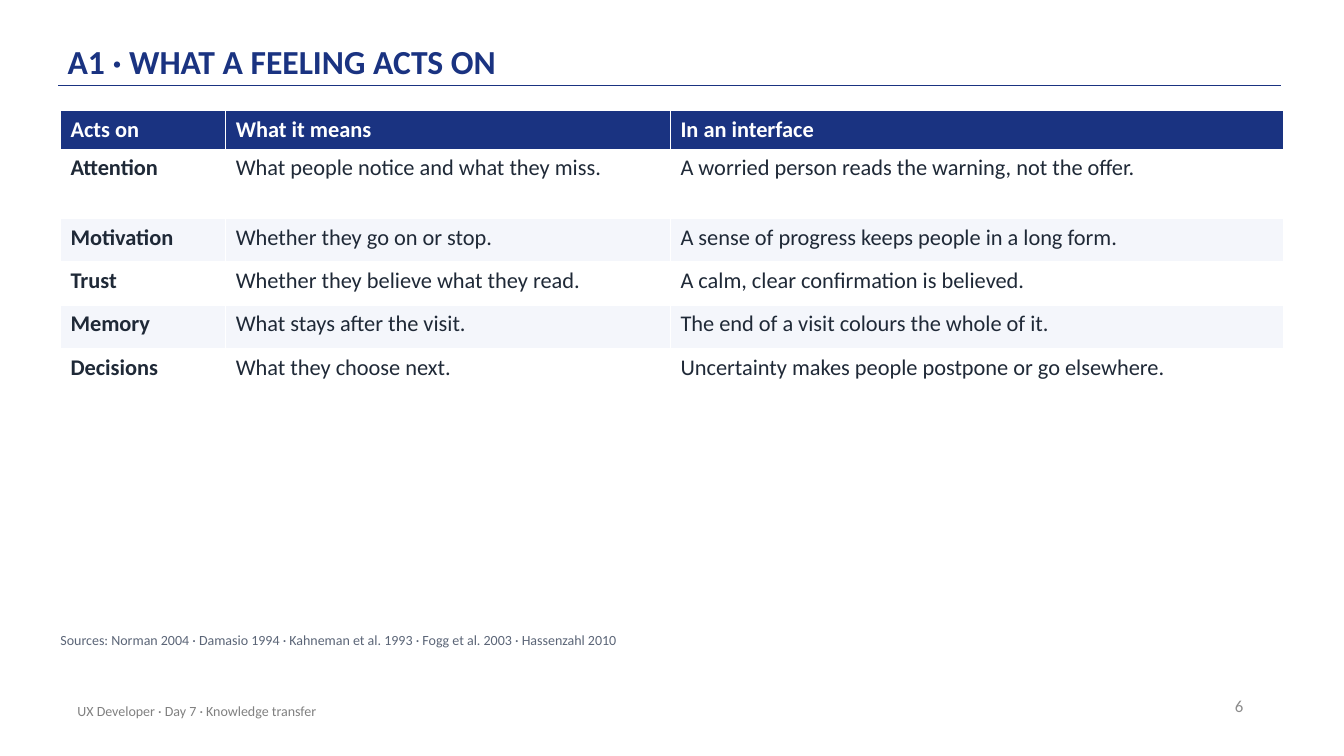
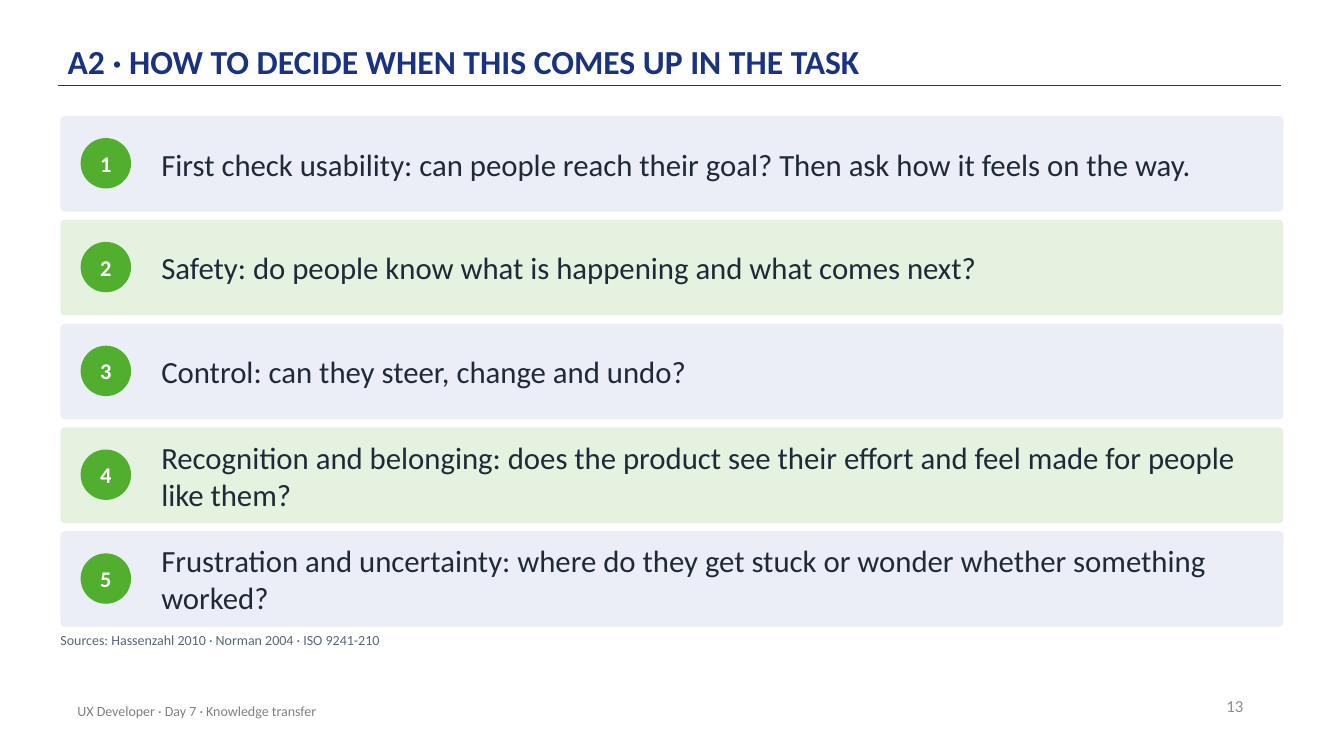
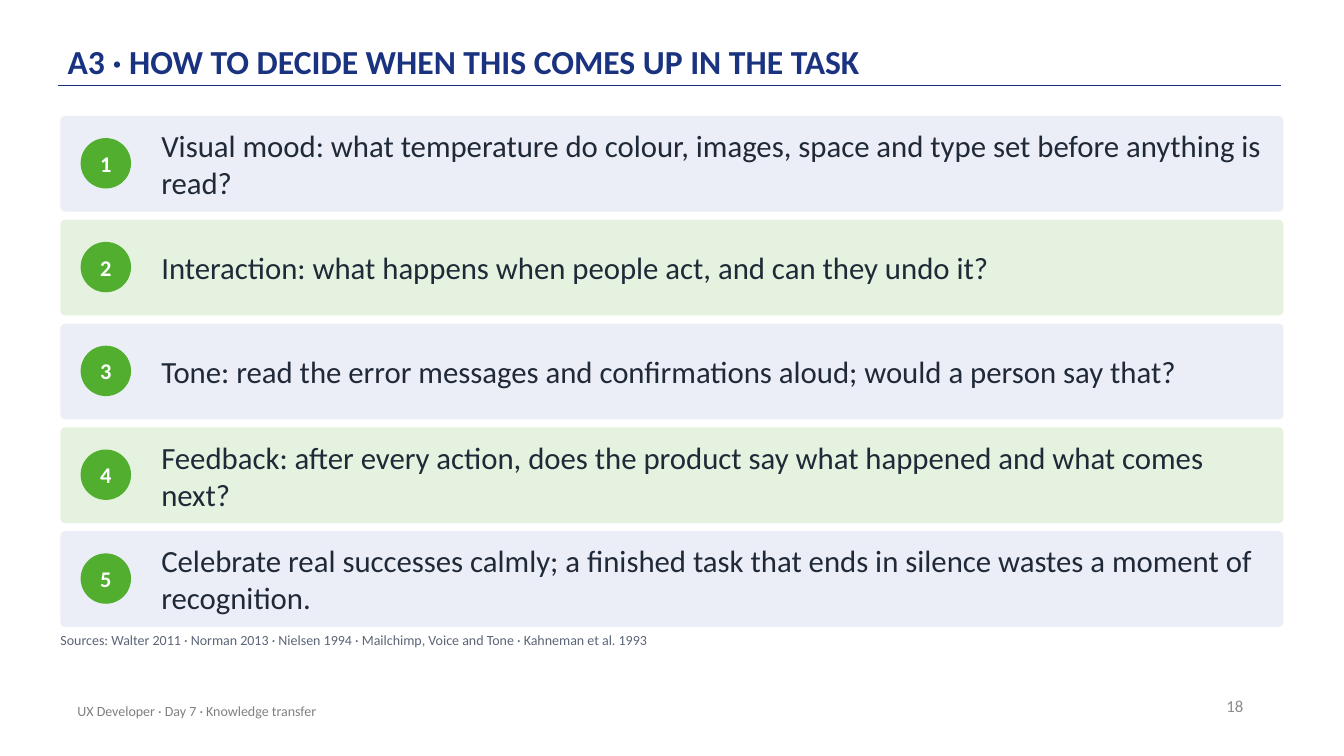
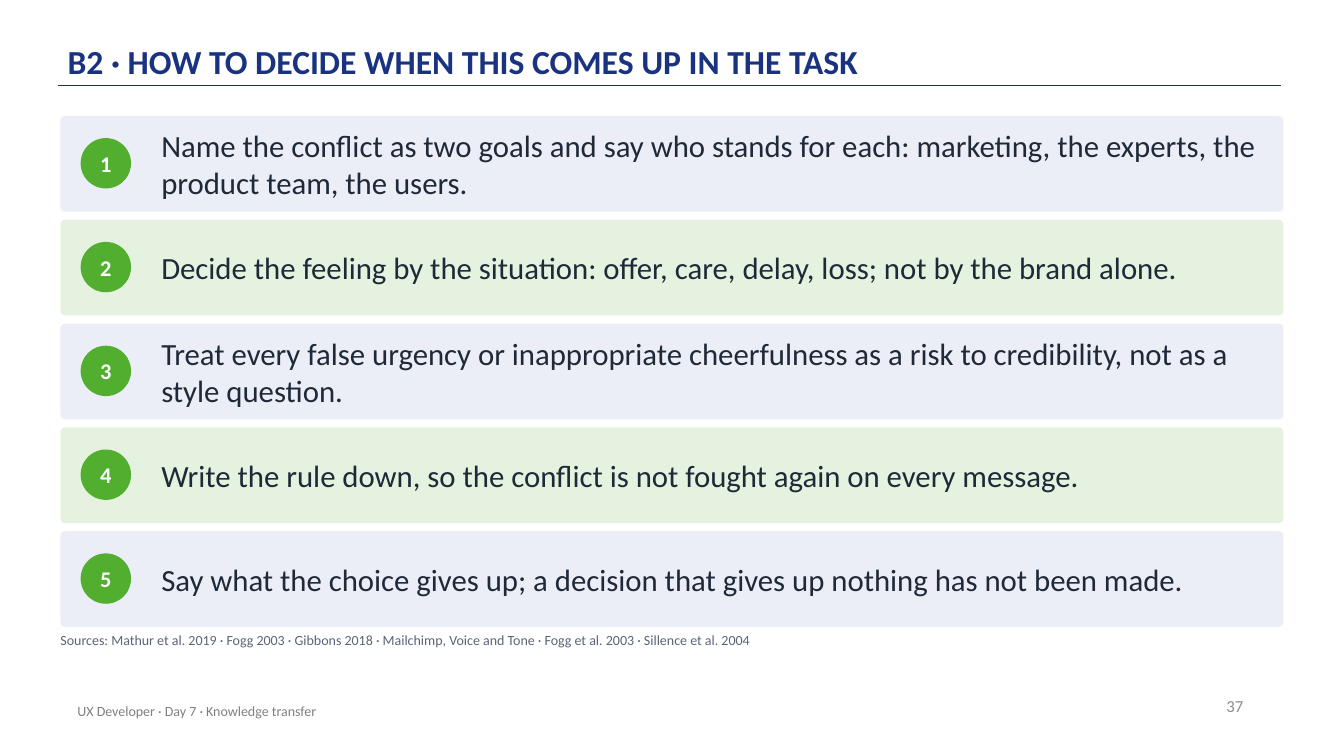
from pptx import Presentation
from pptx.dml.color import RGBColor
from pptx.enum.shapes import MSO_CONNECTOR, MSO_SHAPE
from pptx.enum.text import MSO_ANCHOR, MSO_AUTO_SIZE, PP_ALIGN
from pptx.oxml.ns import qn
from pptx.util import Emu, Pt
from lxml.etree import SubElement

FONT = "Calibri"
FOOTER = "UX Developer · Day 7 · Knowledge transfer"
TITLE_ONLY = 5
COLORS = {
    "navy": "1A3381",
    "green": "51AE2F",
    "white": "FFFFFF",
    "ink": "1F2937",
    "source": "5B6577",
    "footer": "808080",
    "number": "8C8C8C",
    "stripe": "F4F6FB",
    "blue_band": "ECEEF7",
    "green_band": "E5F2DF",
}


def px(length):
    return Emu(length * 9144)


def color(name):
    return RGBColor.from_string(COLORS[name])


def write(frame, text, size=16, ink="ink", bold=False, align=PP_ALIGN.LEFT,
          anchor=MSO_ANCHOR.TOP, inset=(0, 0), spacing=None):
    frame.word_wrap = True
    frame.auto_size = MSO_AUTO_SIZE.NONE
    frame.vertical_anchor = anchor
    frame.margin_left = frame.margin_right = px(inset[0])
    frame.margin_top = frame.margin_bottom = px(inset[1])
    paragraph = frame.paragraphs[0]
    paragraph.alignment = align
    if spacing:
        paragraph.line_spacing = spacing
    run = paragraph.add_run()
    run.text = text
    run.font.name = FONT
    run.font.size = Pt(size)
    run.font.bold = bold
    run.font.color.rgb = color(ink)


class Deck:
    """Holds the shared style and the slide being built."""

    def __init__(self):
        self.presentation = Presentation()
        self.presentation.slide_width = px(1333)
        self.presentation.slide_height = px(750)
        self.slide = None

    def start(self, title, number, sources):
        layout = self.presentation.slide_layouts[TITLE_ONLY]
        self.slide = self.presentation.slides.add_slide(layout)
        self.title(title)
        self.rule(58, 1271, 85)
        self.text(943, 680, 300, 40, str(number), size=12, ink="number",
                  align=PP_ALIGN.RIGHT, anchor=MSO_ANCHOR.MIDDLE, inset=(10, 5))
        self.text(67, 685, 670, 40, FOOTER, size=10, ink="footer",
                  anchor=MSO_ANCHOR.MIDDLE, inset=(10, 5))
        self.text(60, 627, 1210, 30, f"Sources: {sources}", size=10, ink="source")

    def title(self, text):
        title = self.slide.shapes.title
        title.left, title.top, title.width, title.height = map(px, (67, 12, 1100, 72))
        write(title.text_frame, text, size=24, ink="navy", bold=True,
              anchor=MSO_ANCHOR.BOTTOM, inset=(0, 3), spacing=0.9)

    def rule(self, left, right, top):
        line = self.slide.shapes.add_connector(
            MSO_CONNECTOR.STRAIGHT, px(left), px(top), px(right), px(top))
        line.line.color.rgb = color("navy")
        line.line.width = Pt(1)
        SubElement(line._element.spPr, qn("a:effectLst"))

    def text(self, left, top, width, height, text, **style):
        box = self.slide.shapes.add_textbox(px(left), px(top), px(width), px(height))
        write(box.text_frame, text, **style)

    def shape(self, kind, left, top, width, height, fill):
        shape = self.slide.shapes.add_shape(kind, px(left), px(top), px(width), px(height))
        shape.shadow.inherit = False
        shape.fill.solid()
        shape.fill.fore_color.rgb = color(fill)
        shape.line.fill.background()
        return shape

    def steps(self, steps, top=115, height=95, pitch=103, badge=50):
        for index, step in enumerate(steps):
            y = top + index * pitch
            band = self.shape(MSO_SHAPE.ROUNDED_RECTANGLE, 60, y, 1213, height,
                              "green_band" if index % 2 else "blue_band")
            band.adjustments[0] = 0.05
            circle = self.shape(MSO_SHAPE.OVAL, 80, y + (height - badge) // 2,
                                badge, badge, "green")
            write(circle.text_frame, str(index + 1), ink="white", bold=True,
                  align=PP_ALIGN.CENTER, anchor=MSO_ANCHOR.MIDDLE)
            self.text(160, y, 1093, height, step, size=22, anchor=MSO_ANCHOR.MIDDLE)

    def table(self, left, top, widths, heights, rows):
        table = self.slide.shapes.add_table(
            len(rows), len(widths), px(left), px(top),
            px(sum(widths)), px(sum(heights))).table
        for column, width in zip(table.columns, widths):
            column.width = px(width)
        for row_index, (values, height) in enumerate(zip(rows, heights)):
            table.rows[row_index].height = px(height)
            header = row_index == 0
            fill = "navy" if header else "white" if row_index % 2 else "stripe"
            for column_index, value in enumerate(values):
                cell = table.cell(row_index, column_index)
                cell.fill.solid()
                cell.fill.fore_color.rgb = color(fill)
                self.cell_text(cell, value, header, header or column_index == 0)

    def cell_text(self, cell, value, header, bold):
        run = cell.text_frame.paragraphs[0].add_run()
        run.text = value
        run.font.name = FONT
        run.font.size = Pt(16)
        run.font.bold = bold
        run.font.color.rgb = color("white" if header else "ink")


FEELING_ROWS = [
    ("Acts on", "What it means", "In an interface"),
    ("Attention", "What people notice and what they miss.",
     "A worried person reads the warning, not the offer."),
    ("Motivation", "Whether they go on or stop.",
     "A sense of progress keeps people in a long form."),
    ("Trust", "Whether they believe what they read.",
     "A calm, clear confirmation is believed."),
    ("Memory", "What stays after the visit.",
     "The end of a visit colours the whole of it."),
    ("Decisions", "What they choose next.",
     "Uncertainty makes people postpone or go elsewhere."),
]

DECISIONS = [
    ("A2", 13, "Hassenzahl 2010 · Norman 2004 · ISO 9241-210", [
        "First check usability: can people reach their goal? Then ask how it feels on the way.",
        "Safety: do people know what is happening and what comes next?",
        "Control: can they steer, change and undo?",
        "Recognition and belonging: does the product see their effort and feel made for people "
        "like them?",
        "Frustration and uncertainty: where do they get stuck or wonder whether something worked?",
    ]),
    ("A3", 18, "Walter 2011 · Norman 2013 · Nielsen 1994 · Mailchimp, Voice and Tone · "
     "Kahneman et al. 1993", [
        "Visual mood: what temperature do colour, images, space and type set before anything "
        "is read?",
        "Interaction: what happens when people act, and can they undo it?",
        "Tone: read the error messages and confirmations aloud; would a person say that?",
        "Feedback: after every action, does the product say what happened and what comes next?",
        "Celebrate real successes calmly; a finished task that ends in silence wastes a moment "
        "of recognition.",
     ]),
    ("B2", 37, "Mathur et al. 2019 · Fogg 2003 · Gibbons 2018 · Mailchimp, Voice and Tone · "
     "Fogg et al. 2003 · Sillence et al. 2004", [
        "Name the conflict as two goals and say who stands for each: marketing, the experts, "
        "the product team, the users.",
        "Decide the feeling by the situation: offer, care, delay, loss; not by the brand alone.",
        "Treat every false urgency or inappropriate cheerfulness as a risk to credibility, "
        "not as a style question.",
        "Write the rule down, so the conflict is not fought again on every message.",
        "Say what the choice gives up; a decision that gives up nothing has not been made.",
     ]),
]


def main():
    deck = Deck()
    deck.start("A1 · WHAT A FEELING ACTS ON", 6,
               "Norman 2004 · Damasio 1994 · Kahneman et al. 1993 · Fogg et al. 2003 · "
               "Hassenzahl 2010")
    deck.table(60, 110, (164, 441, 608), (38, 69, 43, 43, 43, 43), FEELING_ROWS)
    for section, number, sources, steps in DECISIONS:
        deck.start(f"{section} · HOW TO DECIDE WHEN THIS COMES UP IN THE TASK", number, sources)
        deck.steps(steps)
    deck.presentation.save("out.pptx")


if __name__ == "__main__":
    main()
